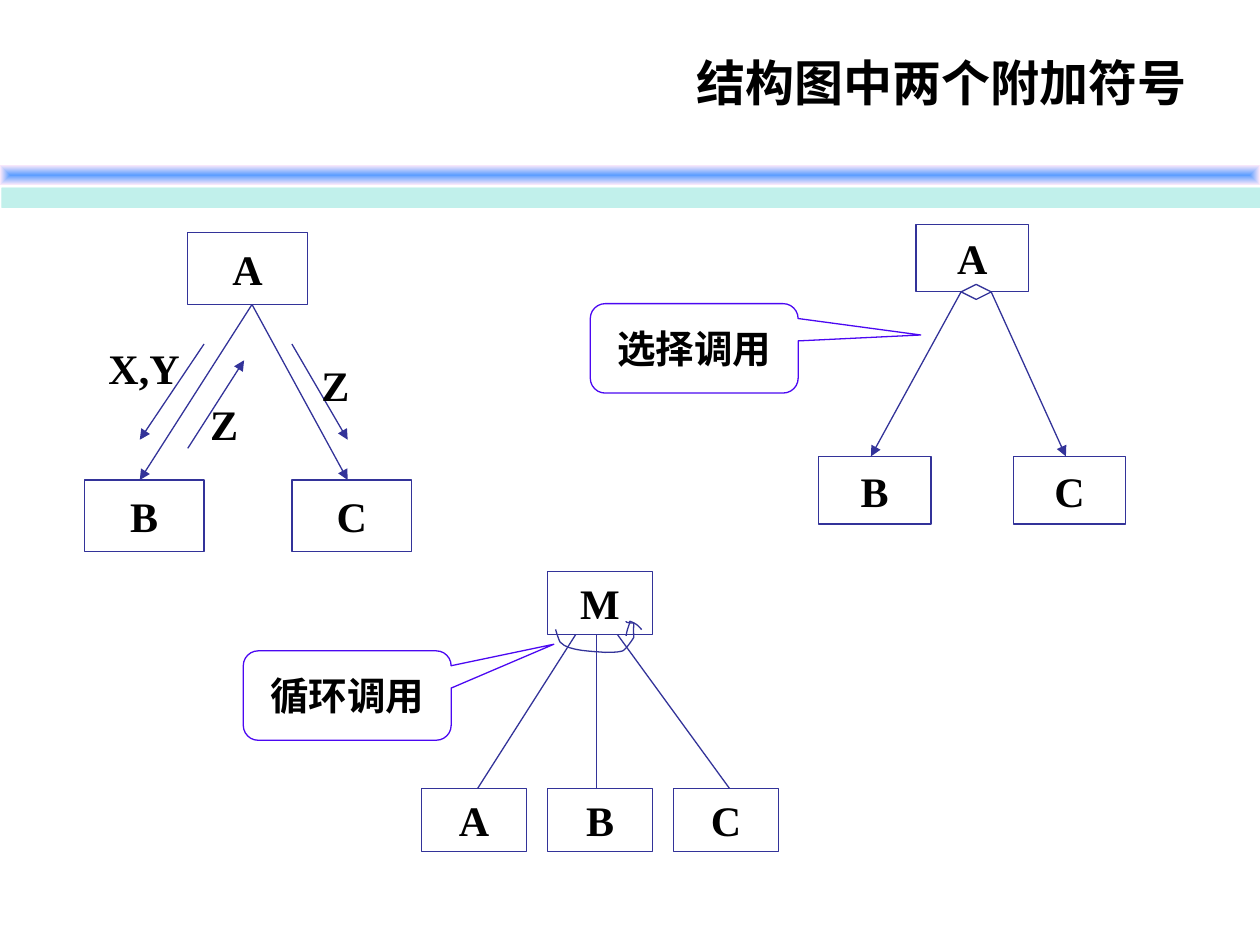
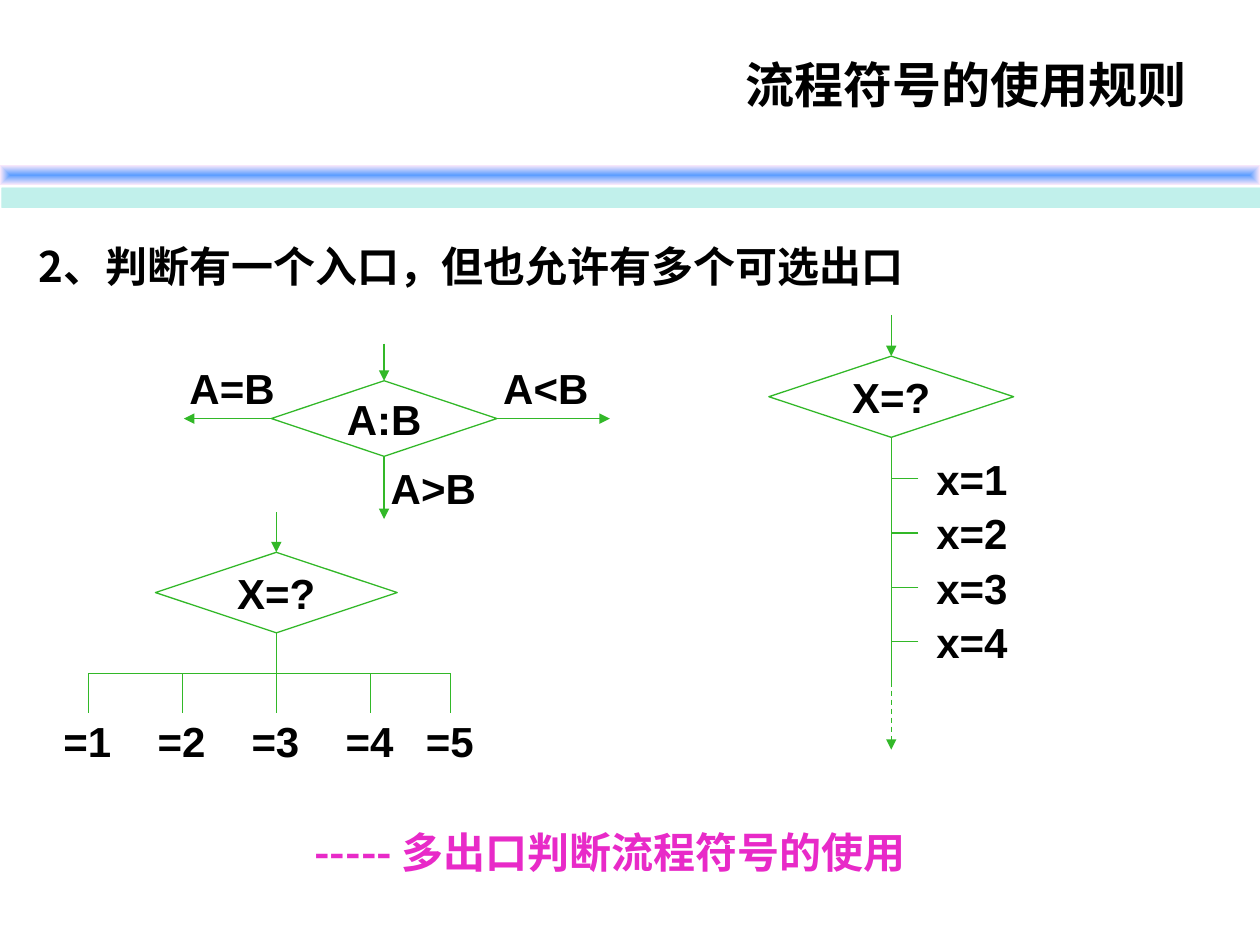
import lxml.etree
import pptx
import pptx.dml.color
import pptx.enum.dml
import pptx.enum.shapes
import pptx.enum.text
import pptx.oxml.ns
import pptx.util

Pt = pptx.util.Pt
qn = pptx.oxml.ns.qn
SHAPES = pptx.enum.shapes.MSO_SHAPE
ALIGN = pptx.enum.text.PP_ALIGN

COLOURS = {
    "text": "000000",
    "paper": "FFFFFF",
    "tree": "333399",
    "callout": "4B08F2",
    "flow": "32B828",
    "caption": "E82AC8",
    "band_core": "5E9EFF",
    "band_edge": "FFEBFA",
    "band_shadow": "84E2D9",
}
SERIF, SANS, CHINESE = "Times New Roman", "Arial", "Noto Sans CJK SC"
TOP, LEFT, BOTTOM, RIGHT = range(4)


def rgb(name):
    return pptx.dml.color.RGBColor.from_string(COLOURS[name])


def add_xml(parent, tag, **attributes):
    return lxml.etree.SubElement(parent, qn(tag), attributes)


def write(box, text, font, size=24, colour="text", align=ALIGN.CENTER, wrap=False):
    frame = box.text_frame
    frame.word_wrap = wrap
    frame.vertical_anchor = pptx.enum.text.MSO_ANCHOR.MIDDLE
    if not wrap:
        frame.margin_left = frame.margin_right = 0
    para = frame.paragraphs[0]
    para.alignment = align
    span = para.add_run()
    span.text = text
    span.font.size = Pt(size)
    span.font.bold = True
    span.font.color.rgb = rgb(colour)
    span.font.name = font
    add_xml(span.font._element, "a:ea", typeface=CHINESE)


def label(page, text, left, top, width, height, font, **style):
    box = page.shapes.add_textbox(Pt(left), Pt(top), Pt(width), Pt(height))
    write(box, text, font, **style)


def shape(page, kind, left, top, width, height, line=None, fill="paper"):
    box = page.shapes.add_shape(kind, Pt(left), Pt(top), Pt(width), Pt(height))
    box.shadow.inherit = False
    if fill:
        box.fill.solid()
        box.fill.fore_color.rgb = rgb(fill)
    else:
        box.fill.background()
    outline(box, line)
    return box


def outline(box, colour):
    if colour:
        box.line.color.rgb = rgb(colour)
        box.line.width = Pt(0.75)
    else:
        box.line.fill.background()


def link(page, start, end, colour, arrow=False, dashed=False, tie_start=None, tie_end=None):
    line = page.shapes.add_connector(
        pptx.enum.shapes.MSO_CONNECTOR.STRAIGHT, *[Pt(value) for value in (*start, *end)])
    if tie_start:
        line.begin_connect(*tie_start)
    if tie_end:
        line.end_connect(*tie_end)
    outline(line, colour)
    if dashed:
        line.line.dash_style = pptx.enum.dml.MSO_LINE.DASH
    properties = line._element.spPr
    if arrow:
        add_xml(properties.find(qn("a:ln")), "a:tailEnd", type="triangle")
    add_xml(properties, "a:effectLst")


def module(page, text, left, top, size):
    box = shape(page, SHAPES.RECTANGLE, left, top, *size, line="tree")
    write(box, text, SERIF)


def statement(page, text, left, top, width, colour="text"):
    box = shape(page, SHAPES.RECTANGLE, left, top, width, 36)
    write(box, text, CHINESE, colour=colour)


def callout(page, text, left, top, tip):
    box = shape(page, SHAPES.ROUNDED_RECTANGULAR_CALLOUT, left, top, 118.8, 51.1,
                line="callout", fill=None)
    for index, value in enumerate((*tip, 0.167)):
        box.adjustments[index] = value
    write(box, text, SERIF, size=22, wrap=True)


def decision(page, text, middle, top, width, height, entry):
    box = shape(page, SHAPES.FLOWCHART_DECISION, middle - width / 2, top, width, height,
                line="flow")
    write(box, text, SANS)
    link(page, (middle, top - entry), (middle, top), "flow", arrow=True, tie_end=(box, TOP))
    return box


def curve(page, start, segments, colour, steps=8):
    points, current = [], start
    for first, second, last in segments:
        for step in range(1, steps + 1):
            t = step / steps
            weights = ((1 - t) ** 3, 3 * t * (1 - t) ** 2, 3 * t ** 2 * (1 - t), t ** 3)
            corners = (current, first, second, last)
            points.append(tuple(
                Pt(sum(weight * corner[axis] for weight, corner in zip(weights, corners)))
                for axis in (0, 1)))
        current = last
    builder = page.shapes.build_freeform(Pt(start[0]), Pt(start[1]), scale=1.0)
    builder.add_line_segments(points, close=False)
    stroke = builder.convert_to_shape()
    stroke.shadow.inherit = False
    stroke.fill.background()
    outline(stroke, colour)


def titled_page(deck, title, top):
    page = deck.slides.add_slide(deck.slide_layouts[6])
    label(page, title, 36.9, top, 648, 41, SANS, size=28, align=ALIGN.RIGHT, wrap=True)
    band = shape(page, SHAPES.RECTANGLE, 0, 94.3, 720, 11.5)
    band.fill.gradient()
    for stop, colour in zip(band.fill.gradient_stops, ("band_core", "band_edge")):
        stop.color.rgb = rgb(colour)
    properties = band._element.spPr
    gradient = properties.find(qn("a:gradFill"))
    gradient.remove(gradient.find(qn("a:lin")))
    focus = add_xml(gradient, "a:path", path="rect")
    add_xml(focus, "a:fillToRect", **dict.fromkeys("ltrb", "50000"))
    shadow = add_xml(properties.find(qn("a:effectLst")), "a:outerShdw",
                     dist=str(Pt(13)), dir=str(86 * 60000), algn="ctr", rotWithShape="0")
    tint = add_xml(shadow, "a:srgbClr", val=COLOURS["band_shadow"])
    add_xml(tint, "a:alpha", val="50000")
    return page


def data_passing_tree(page):
    size = (68.4, 41)
    for text, left, top in (("A", 107.3, 133), ("B", 48.2, 274.3), ("C", 166.8, 274.3)):
        module(page, text, left, top, size)
    for start, end in (
        ((144, 174), (79.9, 274.3)),
        ((144, 174), (198.7, 274.3)),
        ((116.6, 196.6), (79.9, 251.3)),
        ((166.8, 196.6), (198.7, 251.3)),
        ((107.3, 256.2), (139.5, 205.9)),
    ):
        link(page, start, end, "tree", arrow=True)
    for text, left, top in (("X,Y", 52.8, 191.8), ("Z", 98.6, 223.9), ("Z", 162.2, 201.2)):
        label(page, text, left, top, 59, 36.7, SERIF)


def selection_tree(page):
    size = (64.3, 38.7)
    for text, left, top in (("A", 523.4, 128.1), ("B", 467.7, 260.8), ("C", 579.1, 260.8)):
        module(page, text, left, top, size)
    for start, end in ((549.2, 497.7), (566.4, 609.1)):
        link(page, (start, 166.8), (end, 260.8), "tree", arrow=True)
    shape(page, SHAPES.DIAMOND, 549.2, 162.5, 17.2, 8.6, line="tree")
    callout(page, "选择调用", 337.3, 173.5, (1.09, -0.149))


def loop_tree(page):
    size = (60, 36)
    module(page, "M", 312.9, 326.6, size)
    for index, text in enumerate("ABC"):
        module(page, text, 240.9 + 72 * index, 450.6, size)
    for start, end in ((329, 272.9), (341, 341), (352.8, 416.9)):
        link(page, (start, 362.6), (end, 450.6), "tree")
    curve(page, (317.5, 359.7), [
        ((317.5, 359.7), (319.7, 367.2), (320.4, 367.2)),
        ((324.7, 372.2), (339.8, 372.2), (345.6, 372.8)),
        ((349.2, 372.8), (352.1, 372.8), (355, 372.2)),
        ((357.1, 372.2), (360.7, 366.5), (362.2, 364.3)),
        ((361.4, 352.8), (364.3, 357.1), (358.6, 355.7)),
        ((357.8, 355.7), (357.8, 355), (357.8, 355)),
    ], "tree")
    curve(page, (357.8, 363.4), [
        ((358.6, 358.6), (359.3, 358.6), (360, 355)),
        ((363.6, 356.4), (364.3, 357.1), (366.7, 359.8)),
    ], "tree")
    callout(page, "循环调用", 139, 371.9, (0.994, -0.574))


def three_way_decision(page):
    box = decision(page, "A:B", 219.5, 217.6, 128.9, 43.2, 21.2)
    for start, end, side in (
        ((155.05, 239.2), (105.1, 239.2), LEFT),
        ((283.95, 239.2), (348.5, 239.2), RIGHT),
        ((219.5, 260.8), (219.5, 296.6), BOTTOM),
    ):
        link(page, start, end, "flow", arrow=True, tie_start=(box, side))
    for text, left, top in (("A=B", 107.4, 203.8), ("A<B", 286.7, 203.8), ("A>B", 222.4, 260.8)):
        label(page, text, left, top, 50.4, 36, SANS)


def ladder_decision(page):
    spine, tick_end, gap = 509.3, 524.8, 31.1
    box = decision(page, "X=?", spine, 203.5, 139.9, 46.4, 23.5)
    link(page, (spine, 249.9), (spine, 389.5), "flow", tie_start=(box, BOTTOM))
    for index in range(4):
        level = 273.4 + gap * index
        link(page, (tick_end, level), (spine, level), "flow")
        label(page, f"x={index + 1}", tick_end + 3.3, level - gap / 2, 54.7, gap, SANS)
    link(page, (spine, 389.5), (spine, 428.4), "flow", arrow=True, dashed=True)


def comb_decision(page):
    middle, bar, foot = 157.9, 384.7, 407.5
    drops = (50.4, 104.2, middle, 211.6, 257.5)
    box = decision(page, "X=?", middle, 315.6, 138.2, 46, 23)
    link(page, (middle, 361.6), (middle, bar), "flow", tie_start=(box, BOTTOM))
    link(page, (drops[-1], bar), (drops[0], bar), "flow")
    for number, drop in enumerate(drops, start=1):
        link(page, (drop, bar), (drop, foot), "flow")
        label(page, f"={number}", drop - 27.5, foot, 54, 31, SANS)


def main():
    deck = pptx.Presentation()
    deck.slide_width, deck.slide_height = Pt(720), Pt(540)

    page = titled_page(deck, "结构图中两个附加符号", 26.5)
    data_passing_tree(page)
    selection_tree(page)
    loop_tree(page)

    page = titled_page(deck, "流程符号的使用规则", 27.4)
    statement(page, "2、判断有一个入口，但也允许有多个可选出口", 16.8, 133.9, 504.7)
    three_way_decision(page)
    ladder_decision(page)
    comb_decision(page)
    statement(page, "----- 多出口判断流程符号的使用", 189.5, 468.7, 318.2, "caption")

    deck.save("out.pptx")


if __name__ == "__main__":
    main()
